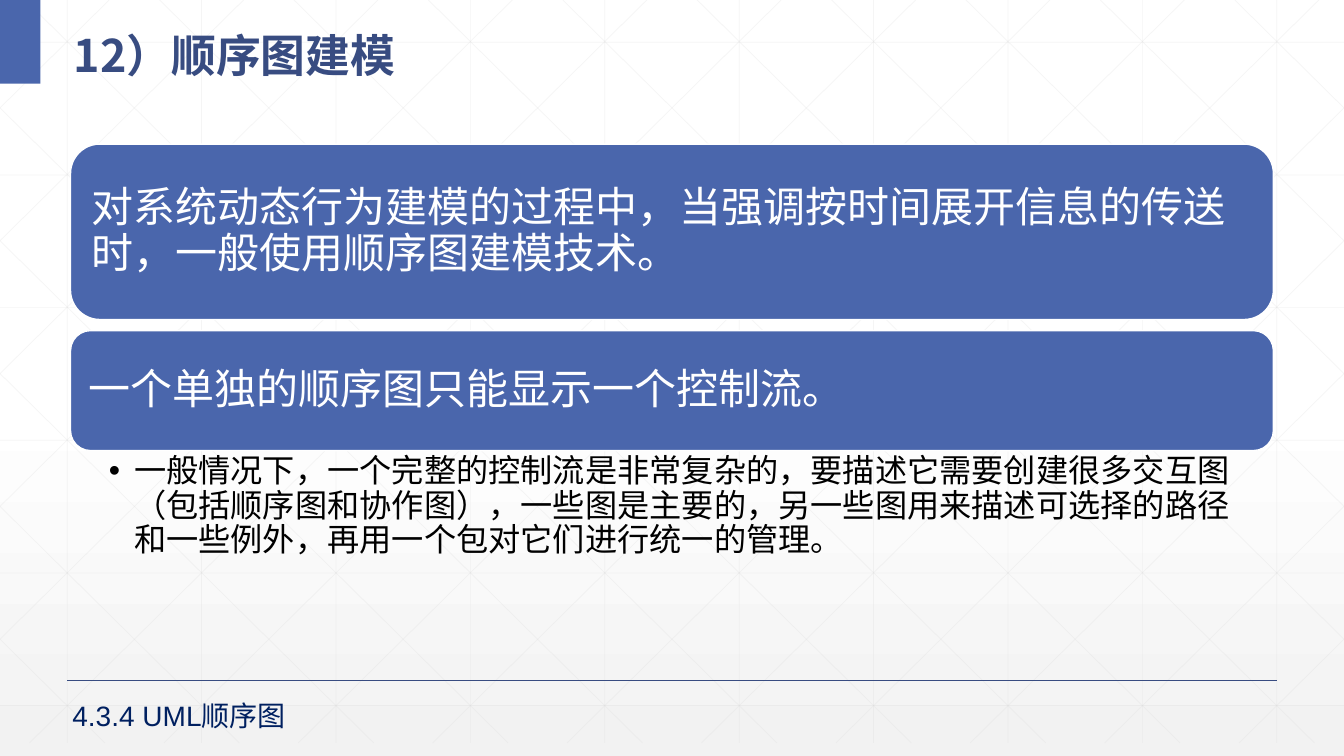
"""Build the sequence diagram modelling slide on a faint lattice background."""
from copy import deepcopy

from lxml.etree import SubElement
from pptx import Presentation
from pptx.dml.color import RGBColor
from pptx.enum.shapes import MSO_CONNECTOR, MSO_SHAPE
from pptx.enum.text import MSO_ANCHOR, MSO_AUTO_SIZE, PP_ALIGN
from pptx.oxml.ns import qn
from pptx.util import Inches, Pt

WIDTH, HEIGHT = 13.33, 7.5
COLUMN, ROW = WIDTH / 10, 1.316
LATTICE_BOTTOM = 7.37
DIAGONAL_RUN = 7.455
PANEL_LEFT, PANEL_WIDTH = 0.7, 11.93
BLUE, NAVY = "4A66AC", "384C81"
CHINESE_FONT = "Noto Sans CJK SC"


def add_line(start, end, color, points, opacity=100):
    line = slide.shapes.add_connector(
        MSO_CONNECTOR.STRAIGHT, *[Inches(value) for value in (*start, *end)])
    line.line.color.rgb = RGBColor.from_string(color)
    line.line.width = Pt(points)
    properties = line.element.spPr
    rgb = next(properties.iter(qn("a:srgbClr")))
    SubElement(rgb, qn("a:alpha"), val=str(opacity * 1000))
    SubElement(properties, qn("a:effectLst"))


def write(box, text, size, color, anchor, spacing=1.0, font="Arial", bold=False):
    frame = box.text_frame
    frame.text = text
    frame.word_wrap = True
    frame.auto_size = MSO_AUTO_SIZE.NONE
    frame.vertical_anchor = anchor
    para = frame.paragraphs[0]
    para.alignment = PP_ALIGN.LEFT
    para.line_spacing = spacing
    para.space_before = Pt(0)
    span = para.runs[0]
    span.font.size = Pt(size)
    span.font.bold = bold
    span.font.color.rgb = RGBColor.from_string(color)
    span.font.name = font
    SubElement(span.font._element, qn("a:ea"), typeface=CHINESE_FONT)
    return frame


deck = Presentation()
deck.slide_width, deck.slide_height = Inches(WIDTH), Inches(HEIGHT)
slide = deck.slides.add_slide(deck.slide_layouts[1])

backdrop = slide.background.fill
backdrop.gradient()
backdrop.gradient_angle = 270
for stop, color in zip(backdrop.gradient_stops, ("FFFFFF", "F2F2F2")):
    stop.color.rgb = RGBColor.from_string(color)
stops = next(slide.element.iter(qn("a:gsLst")))
middle_stop = deepcopy(stops[0])
middle_stop.set("pos", "53000")
stops.insert(1, middle_stop)

lattice = []
for column in range(10):
    x = (column + 0.5) * COLUMN
    lattice.append(((x, 0), (x, LATTICE_BOTTOM)))
for row in range(6):
    y = 0.42 + row * ROW
    lattice.append(((0, y), (WIDTH, y)))
for step in range(-5, 10):
    origin = 0.25 + step * COLUMN
    ends = max(origin, 0), min(origin + DIAGONAL_RUN, WIDTH)
    (x1, y1), (x2, y2) = [
        (x, (x - origin) * LATTICE_BOTTOM / DIAGONAL_RUN) for x in ends]
    lattice.append(((x1, y1), (x2, y2)))
    lattice.append(((WIDTH - x1, y1), (WIDTH - x2, y2)))
for start, end in lattice:
    add_line(start, end, "D9D9D9", 0.5, 25)
add_line((COLUMN / 2, 6.75), (WIDTH - COLUMN / 2, 6.75), NAVY, 1)

corner = slide.shapes.add_shape(MSO_SHAPE.RECTANGLE, 0, 0, Inches(0.4), Inches(0.83))
corner.shadow.inherit = False
corner.fill.solid()
corner.fill.fore_color.rgb = RGBColor.from_string(BLUE)
corner.line.fill.background()

title, body = slide.placeholders
tree = title.element.getparent()
tree.append(title.element)
title.left, title.top = Inches(0.63), Inches(0.1)
title.width, title.height = Inches(12.42), Inches(0.73)
write(title, "12）顺序图建模", 32, NAVY, MSO_ANCHOR.MIDDLE, 1.3, CHINESE_FONT, True)

panels = [
    (1.43, 1.74, "对系统动态行为建模的过程中，当强调按时间展开信息的传送时，一般使用顺序图建模技术。"),
    (3.28, 1.19, "一个单独的顺序图只能显示一个控制流。"),
]
for top, height, text in panels:
    panel = slide.shapes.add_shape(
        MSO_SHAPE.ROUNDED_RECTANGLE, Inches(PANEL_LEFT), Inches(top),
        Inches(PANEL_WIDTH), Inches(height))
    panel.shadow.inherit = False
    panel.fill.solid()
    panel.fill.fore_color.rgb = RGBColor.from_string(BLUE)
    panel.line.color.rgb = RGBColor.from_string("FFFFFF")
    panel.line.width = Pt(1)
    frame = write(panel, text, 30, "FFFFFF", MSO_ANCHOR.MIDDLE, 0.9)
    frame.margin_left = frame.margin_right = Inches(0.12)
    frame.margin_top = frame.margin_bottom = Inches(0.12)

tree.append(body.element)
body.left, body.top = Inches(PANEL_LEFT), Inches(4.47)
body.width, body.height = Inches(PANEL_WIDTH), Inches(1.79)
frame = write(
    body,
    "一般情况下，一个完整的控制流是非常复杂的，要描述它需要创建很多交互图"
    "（包括顺序图和协作图），一些图是主要的，另一些图用来描述可选择的路径"
    "和一些例外，再用一个包对它们进行统一的管理。",
    23, "000000", MSO_ANCHOR.TOP, 0.9)
frame.margin_left, frame.margin_right = Inches(0.38), Inches(0.23)
frame.margin_top = frame.margin_bottom = Inches(0.04)
bullet = frame.paragraphs[0]._p.get_or_add_pPr()
bullet.set("marL", str(Inches(0.25)))
bullet.set("indent", str(Inches(-0.25)))
SubElement(bullet, qn("a:buChar"), char="•")

section = slide.shapes.add_textbox(Inches(0.62), Inches(6.88), Inches(6.04), Inches(0.44))
frame = write(section, "4.3.4 UML顺序图", 20, "002060", MSO_ANCHOR.TOP)
frame.auto_size = MSO_AUTO_SIZE.SHAPE_TO_FIT_TEXT

deck.save("out.pptx")
